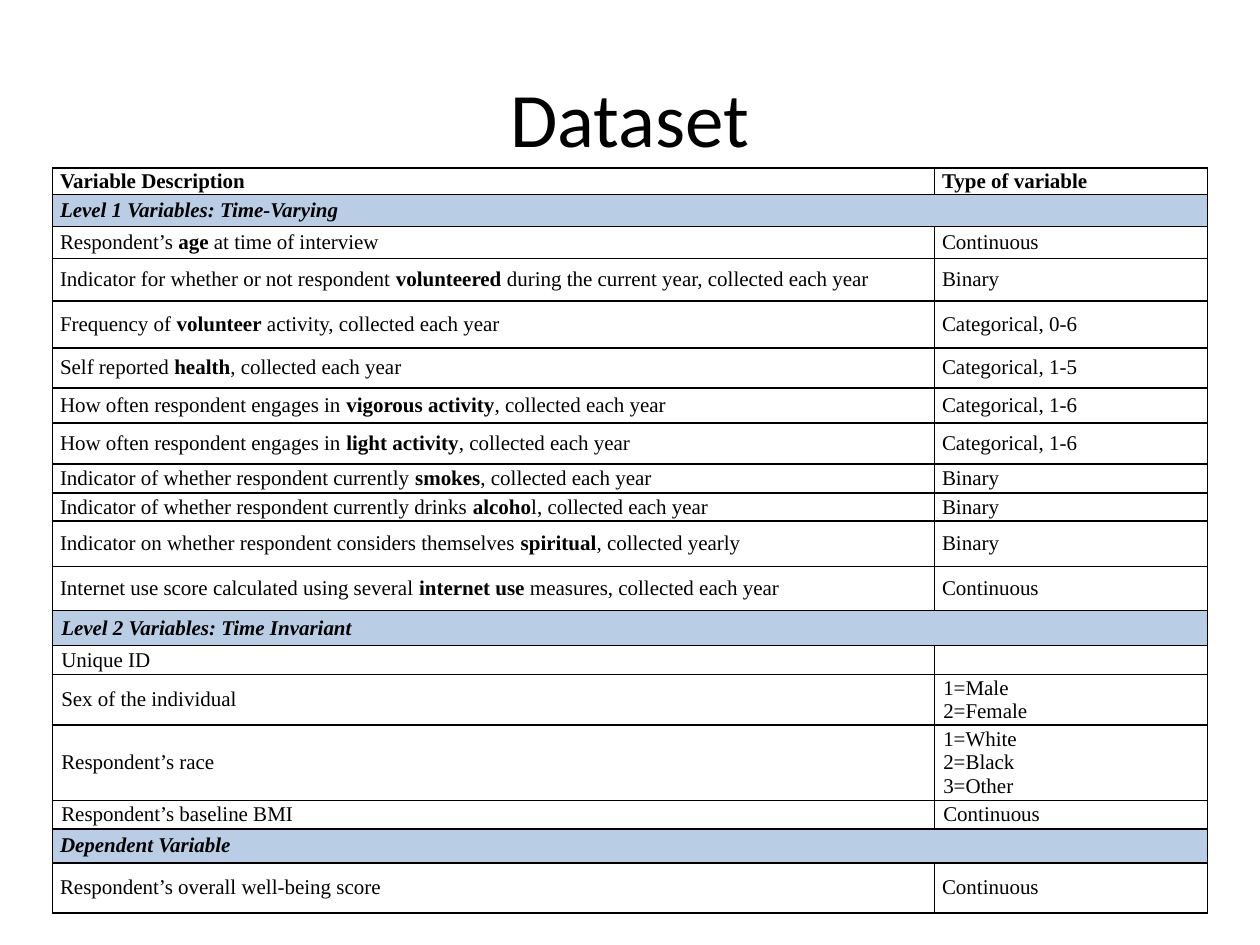
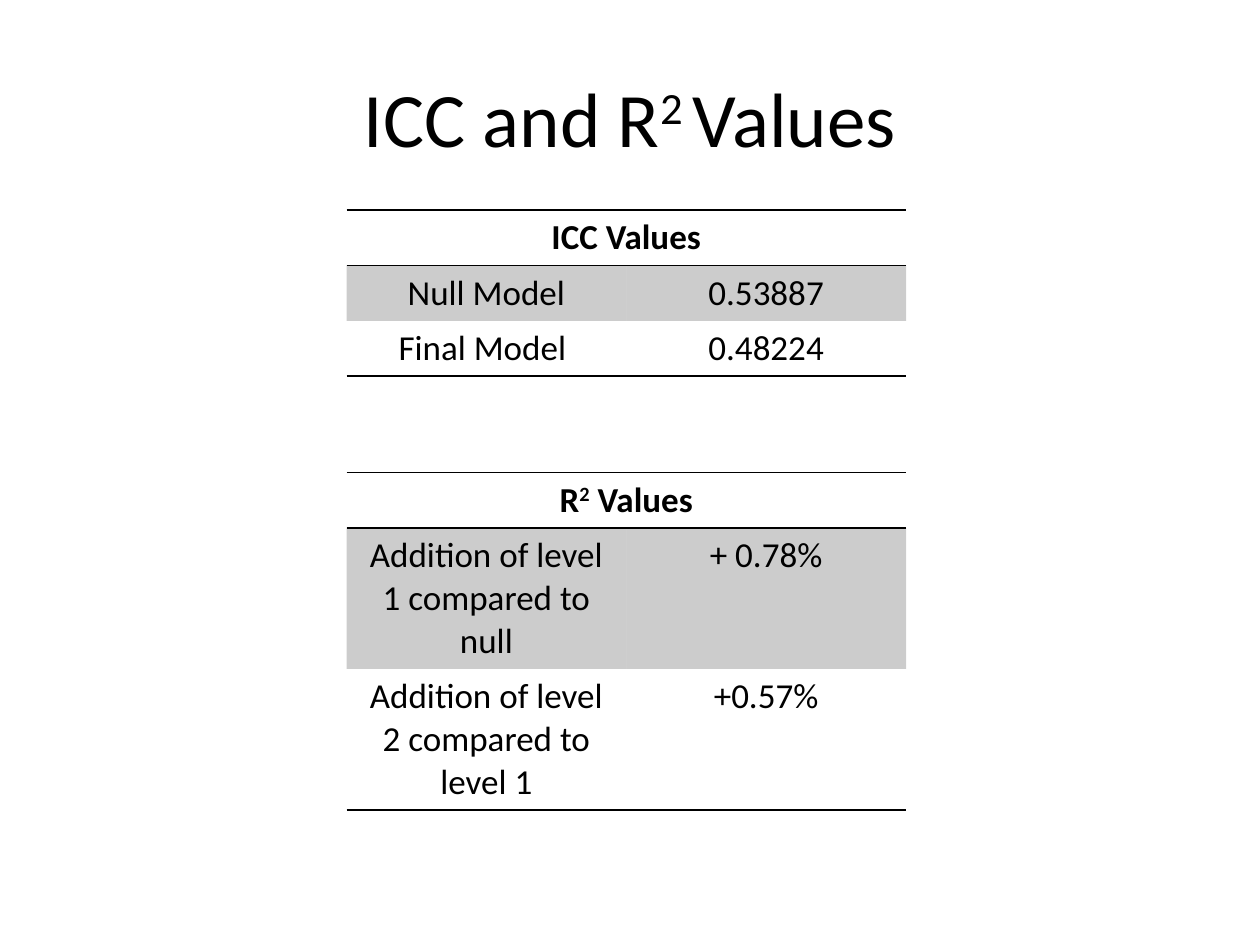
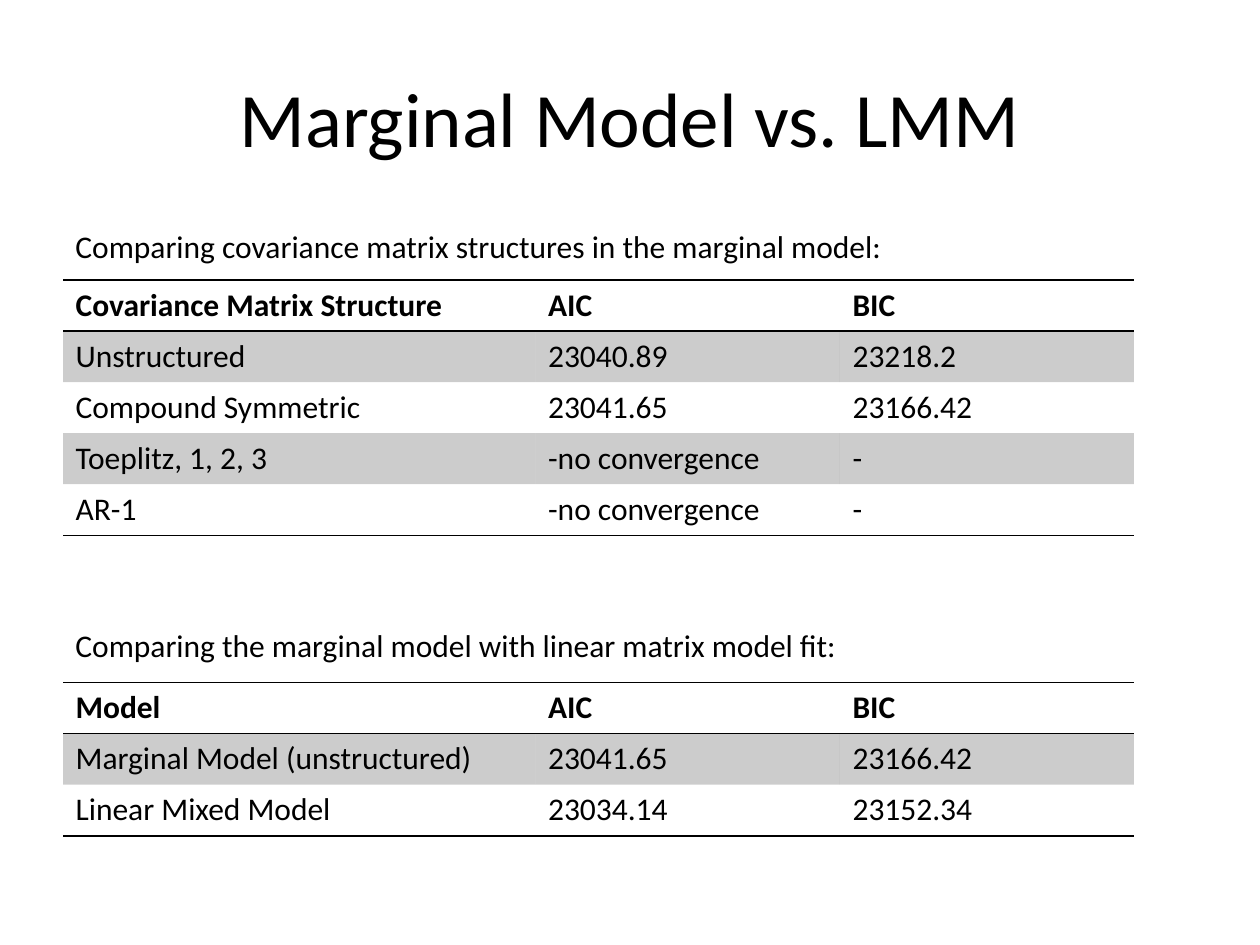
from lxml import etree
from pptx import Presentation
from pptx.dml.color import RGBColor
from pptx.enum import text as t
from pptx.oxml.ns import qn
from pptx.util import Emu, Inches, Pt

# Shared look: a grid of 120 columns by 90 rows
COLUMNS, ROWS = 120, 90
WIDTH, HEIGHT = Inches(10), Inches(7.5)
BLACK, SECTION_BLUE = "000000", "B9CDE5"
SANS, SERIF = "Calibri", "Times New Roman"
PLAIN_STYLE = "{2D5ABB26-0587-4C30-8999-92F81FD0307C}"
LEFT, CENTER = t.PP_ALIGN.LEFT, t.PP_ALIGN.CENTER
TITLE_BOX = (6, 3.6, 108, 15)

# Variables: height, description (*bold*), type; a type of None marks a section
VARIABLES = [
    (2.55, "*Variable Description*", "*Type of variable*"),
    (3.05, "Level 1 Variables: Time-Varying", None),
    (3, "Respondent’s *age* at time of interview", "Continuous"),
    (4.05, "Indicator for whether or not respondent *volunteered* during the current year, "
           "collected each year", "Binary"),
    (4.5, "Frequency of *volunteer* activity, collected each year", "Categorical, 0-6"),
    (3.8, "Self reported *health*, collected each year", "Categorical, 1-5"),
    (3.35, "How often respondent engages in *vigorous activity*, collected each year",
     "Categorical, 1-6"),
    (3.9, "How often respondent engages in *light activity*, collected each year",
     "Categorical, 1-6"),
    (2.75, "Indicator of whether respondent currently *smokes*, collected each year", "Binary"),
    (2.7, "Indicator of whether respondent currently drinks *alcoho*l, collected each year",
     "Binary"),
    (4.3, "Indicator on whether respondent considers themselves *spiritual*, collected yearly",
     "Binary"),
    (4.2, "Internet use score calculated using several *internet use *measures, "
          "collected each year", "Continuous"),
    (3.35, "Level 2 Variables: Time Invariant", None),
    (2.75, "Unique ID", ""),
    (4.5, "Sex of the individual", "1=Male\n2=Female"),
    (6.65, "Respondent’s race", "1=White\n2=Black\n3=Other"),
    (2.7, "Respondent’s baseline BMI", "Continuous"),
    (3.25, "Dependent Variable", None),
    (4.75, "Respondent’s overall well-being score", "Continuous"),
]
LEVEL_2_ROWS = range(12, 17)

ICC_VALUES = [["ICC Values", ""], ["Null Model", "0.53887"], ["Final Model ", "0.48224"]]
R2_VALUES = [["R^2^ Values", ""],
             ["Addition of level 1 compared to null", "+ 0.78%"],
             ["Addition of level 2 compared to level 1", "+0.57%"]]
COVARIANCE_FITS = [["Covariance Matrix Structure", "AIC", "BIC"],
                   ["Unstructured", "23040.89", "23218.2"],
                   ["Compound Symmetric", "23041.65", "23166.42"],
                   ["Toeplitz, 1, 2, 3", "-no convergence", "-"],
                   ["AR-1", "-no convergence", "-"]]
MODEL_FITS = [["Model", "AIC", "BIC"],
              ["Marginal Model (unstructured)", "23041.65", "23166.42"],
              ["Linear Mixed Model", "23034.14", "23152.34"]]


def across(columns):
    return Emu(round(WIDTH * columns / COLUMNS))


def down(rows):
    return Emu(round(HEIGHT * rows / ROWS))


def place(left, top, width, height):
    return across(left), down(top), across(width), down(height)


def color(value):
    return RGBColor.from_string(value)


def write(frame, content, size, font=SANS, align=LEFT, bold=False, italic=False):
    """Write lines in which *...* is bold and ^...^ is superscript."""
    for index, line in enumerate(content.split("\n")):
        para = frame.add_paragraph() if index else frame.paragraphs[0]
        para.alignment = align
        for strong, part in enumerate(line.split("*")):
            for raised, words in enumerate(part.split("^")):
                if not words:
                    continue
                span = para.add_run()
                span.text = words
                span.font.name, span.font.size = font, Pt(size)
                span.font.bold, span.font.italic = bold or strong % 2 == 1, italic
                span.font.color.rgb = color(BLACK)
                if raised % 2:
                    span.font._element.set("baseline", "30000")
        if not line:  # keeps an empty cell from growing its row
            etree.SubElement(para._p, qn("a:endParaRPr")).set("sz", str(size * 100))


def add_text(page, box, content, size, align=LEFT, anchor=t.MSO_ANCHOR.TOP):
    frame = page.shapes.add_textbox(*place(*box)).text_frame
    frame.word_wrap = True
    frame.vertical_anchor = anchor
    write(frame, content, size, align=align)


def add_page(deck, title):
    page = deck.slides.add_slide(deck.slide_layouts[6])
    add_text(page, TITLE_BOX, title, 44, CENTER, t.MSO_ANCHOR.MIDDLE)
    return page


def add_grid(page, left, top, widths, heights):
    box = place(left, top, sum(widths), sum(heights))
    table = page.shapes.add_table(len(heights), len(widths), *box).table
    table.first_row = table.horz_banding = False
    table._tbl.tblPr.find(qn("a:tableStyleId")).text = PLAIN_STYLE
    for column, width in zip(table.columns, widths):
        column.width = across(width)
    for row, height in zip(table.rows, heights):
        row.height = down(height)
    return table


def set_borders(cell, sides):
    """Rule the named sides; they must come before the fill, in the order L R T B."""
    properties = cell._tc.get_or_add_tcPr()
    for side in sides:
        line = etree.SubElement(properties, qn(f"a:ln{side}"), w=str(Pt(1)))
        fill = etree.SubElement(line, qn("a:solidFill"))
        etree.SubElement(fill, qn("a:srgbClr"), val=BLACK)


def set_fill(cell, value, opacity=100):
    cell.fill.solid()
    cell.fill.fore_color.rgb = color(value)
    if opacity < 100:
        tone = cell._tc.tcPr.find(qn("a:solidFill"))[0]
        etree.SubElement(tone, qn("a:alpha"), val=str(opacity * 1000))


def add_variable_table(page, left, top, widths):
    table = add_grid(page, left, top, widths, [height for height, *_ in VARIABLES])
    for row, (_, description, kind) in enumerate(VARIABLES):
        section = kind is None
        for column, content in enumerate((description, kind or "")):
            cell = table.cell(row, column)
            cell.margin_top = cell.margin_bottom = 0
            cell.margin_left = cell.margin_right = Inches(0.07 if row in LEVEL_2_ROWS else 0.06)
            cell.vertical_anchor = t.MSO_ANCHOR.MIDDLE
            write(cell.text_frame, content, 12, SERIF, bold=section, italic=section)
            set_borders(cell, "LRTB")
            if section:
                set_fill(cell, SECTION_BLUE)
        if section:
            table.cell(row, 0).merge(table.cell(row, 1))


def add_value_table(page, left, top, widths, heights, values, size, align=LEFT, merged=False):
    """A ruled table with a bold heading and every other row shaded."""
    table = add_grid(page, left, top, widths, heights)
    last = len(values) - 1
    for row, contents in enumerate(values):
        for column, content in enumerate(contents):
            cell = table.cell(row, column)
            write(cell.text_frame, content, size, align=align, bold=row == 0)
            set_borders(cell, {0: "TB", last: "B"}.get(row, ""))
            if row % 2:
                set_fill(cell, BLACK, 20)
    if merged:
        heading = table.cell(0, 0)
        heading.merge(table.cell(0, len(widths) - 1))
        heading.vertical_anchor = t.MSO_ANCHOR.MIDDLE


def dataset_page(deck):
    page = add_page(deck, "Dataset")
    add_variable_table(page, 5, 16, (84, 26))


def values_page(deck):
    page = add_page(deck, "ICC and R^2 ^Values")
    for top, body_height, values in ((20, 5.28, ICC_VALUES), (45, 13.44, R2_VALUES)):
        add_value_table(page, 33, top, [26.65] * 2, [5.28, body_height, body_height],
                        values, 20, CENTER, merged=True)


def comparison_page(deck):
    page = add_page(deck, "Marginal Model vs. LMM")
    sections = (
        (21, 26.65, "Comparing covariance matrix structures in the marginal model:",
         COVARIANCE_FITS),
        (59, 65, "Comparing the marginal model with linear matrix model fit:", MODEL_FITS),
    )
    for caption_top, table_top, caption, values in sections:
        add_value_table(page, 6, table_top, (45, 29, 28), [4.87] * len(values), values, 18)
        add_text(page, (6, caption_top, 92, 4.8), caption, 18)


def main():
    deck = Presentation()
    deck.slide_width, deck.slide_height = WIDTH, HEIGHT
    dataset_page(deck)
    values_page(deck)
    comparison_page(deck)
    deck.save("out.pptx")


if __name__ == "__main__":
    main()
